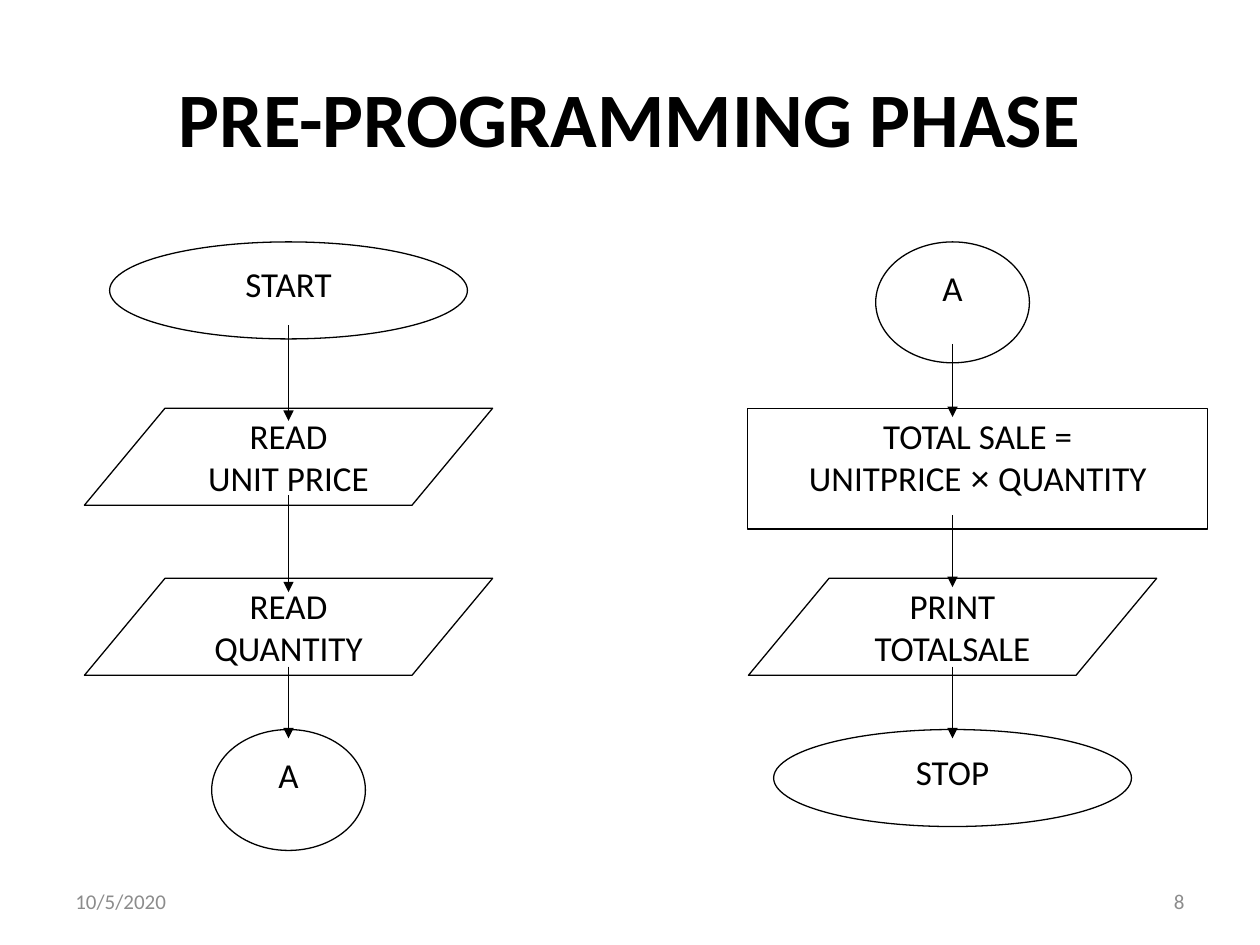
from dataclasses import dataclass

from lxml import etree
from pptx import Presentation
from pptx.dml.color import RGBColor
from pptx.enum.shapes import MSO_CONNECTOR, MSO_SHAPE
from pptx.enum.text import MSO_ANCHOR, PP_ALIGN
from pptx.oxml.ns import qn
from pptx.util import Inches, Pt

ELLIPSE = MSO_SHAPE.OVAL
SLANTED = MSO_SHAPE.PARALLELOGRAM
RECT = MSO_SHAPE.RECTANGLE
STRAIGHT = MSO_CONNECTOR.STRAIGHT
TOP, MIDDLE = MSO_ANCHOR.TOP, MSO_ANCHOR.MIDDLE
LEFT, CENTER, RIGHT = PP_ALIGN.LEFT, PP_ALIGN.CENTER, PP_ALIGN.RIGHT


@dataclass(frozen=True)
class Theme:
    ink: RGBColor = RGBColor(0x00, 0x00, 0x00)
    paper: RGBColor = RGBColor(0xFF, 0xFF, 0xFF)
    muted: RGBColor = RGBColor(0x8C, 0x8C, 0x8C)
    font: str = "Calibri"
    symbol_font: str = "Arial"
    title: float = 44
    label: float = 20
    footer: float = 12
    line: float = 0.75


@dataclass(frozen=True)
class Kind:
    """Outline of a flowchart symbol, with its text area as shares of it."""
    preset: int
    width: float
    height: float
    text_w: float = 1.0
    text_h: float = 1.0
    shift: float = 0.0


@dataclass(frozen=True)
class Node:
    kind: Kind
    col: int
    row: int
    lines: tuple[str, ...]


@dataclass(frozen=True)
class Arrow:
    col: int
    start: float
    end: float


THEME = Theme()
WIDTH, HEIGHT = 10, 7.5
MARGIN = 0.05 * WIDTH

# Flowchart grid: column centres and row tops
COLS = (2.29, 7.56)
ROWS = (1.92, 3.24, 4.59, 5.79)
SLANT = 0.64

TERMINAL = Kind(ELLIPSE, 2.84, 0.77, 0.7, 0.7)
INPUT_OUTPUT = Kind(SLANTED, 3.24, 0.77, 0.61)
CONNECTOR = Kind(ELLIPSE, 1.22, 0.96, 0.7, 0.7)
PROCESS = Kind(RECT, 3.65, 0.96, shift=0.2)

NODES = (
    Node(TERMINAL, 0, 0, ("START",)),
    Node(INPUT_OUTPUT, 0, 1, ("READ", "UNIT PRICE")),
    Node(INPUT_OUTPUT, 0, 2, ("READ", "QUANTITY")),
    Node(CONNECTOR, 0, 3, ("A",)),
    Node(CONNECTOR, 1, 0, ("A",)),
    Node(PROCESS, 1, 1, ("TOTAL SALE =", "UNITPRICE × QUANTITY")),
    Node(INPUT_OUTPUT, 1, 2, ("PRINT", "TOTALSALE")),
    Node(TERMINAL, 1, 3, ("STOP",)),
)
ARROWS = (
    Arrow(0, 2.58, 3.34), Arrow(0, 3.93, 4.70), Arrow(0, 5.29, 5.86),
    Arrow(1, 2.73, 3.31), Arrow(1, 4.09, 4.66), Arrow(1, 5.29, 5.86),
)


def write(tf, lines: tuple[str, ...], size: float, color: RGBColor,
          align: int = CENTER, anchor: int = TOP, bold: bool = False,
          side: float = 0.1) -> None:
    tf.word_wrap = True
    tf.vertical_anchor = anchor
    tf.margin_left = tf.margin_right = Inches(side)
    tf.margin_top = tf.margin_bottom = Inches(0.05)
    for i, line in enumerate(lines):
        p = tf.paragraphs[0] if i == 0 else tf.add_paragraph()
        p.alignment = align
        before, sign, after = line.partition("×")
        for text in filter(None, (before, sign, after)):
            r = p.add_run()
            r.text = text
            r.font.name = THEME.symbol_font if text == "×" else THEME.font
            r.font.size = Pt(size)
            r.font.bold = bold
            r.font.color.rgb = color


def add_text(slide, box: tuple[float, ...], lines: tuple[str, ...],
             size: float, color: RGBColor, **style) -> None:
    sp = slide.shapes.add_textbox(*map(Inches, box))
    write(sp.text_frame, lines, size, color, **style)


def add_node(slide, node: Node) -> None:
    k = node.kind
    cx, top = COLS[node.col] + k.shift, ROWS[node.row]
    box = (cx - k.width / 2, top, k.width, k.height)
    sp = slide.shapes.add_shape(k.preset, *map(Inches, box))
    sp.shadow.inherit = False
    sp.fill.solid()
    sp.fill.fore_color.rgb = THEME.paper
    sp.line.color.rgb = THEME.ink
    sp.line.width = Pt(THEME.line)
    if k.preset == SLANTED:
        sp.adjustments[0] = SLANT / k.height
    if k.preset == RECT:
        write(sp.text_frame, node.lines, THEME.label, THEME.ink, side=0.02)
        return
    w, h = k.width * k.text_w, k.height * k.text_h
    area = (cx - w / 2, top + (k.height - h) / 2, w, h)
    add_text(slide, area, node.lines, THEME.label, THEME.ink, side=0.02)


def add_arrow(slide, arrow: Arrow) -> None:
    x = Inches(COLS[arrow.col])
    line = slide.shapes.add_connector(
        STRAIGHT, x, Inches(arrow.start), x, Inches(arrow.end))
    line.line.color.rgb = THEME.ink
    line.line.width = Pt(THEME.line)
    etree.SubElement(line.line._get_or_add_ln(), qn("a:tailEnd"), type="triangle")
    etree.SubElement(line._element.spPr, qn("a:effectLst"))


def main() -> None:
    prs = Presentation()
    prs.slide_width, prs.slide_height = Inches(WIDTH), Inches(HEIGHT)
    slide = prs.slides.add_slide(prs.slide_layouts[6])

    # Title
    add_text(slide, (MARGIN, 0.04 * HEIGHT, WIDTH - 2 * MARGIN, 1.25),
             ("PRE-PROGRAMMING PHASE",), THEME.title, THEME.ink,
             anchor=MIDDLE, bold=True)

    # Flowchart, one column after the other
    for col in range(len(COLS)):
        for node in (n for n in NODES if n.col == col):
            add_node(slide, node)
        for arrow in (a for a in ARROWS if a.col == col):
            add_arrow(slide, arrow)

    # Footer: date and slide number
    foot_w = 2.33
    for x, text, align in ((MARGIN, "10/5/2020", LEFT),
                           (WIDTH - MARGIN - foot_w, "8", RIGHT)):
        add_text(slide, (x, 6.95, foot_w, 0.4), (text,), THEME.footer,
                 THEME.muted, align=align, anchor=MIDDLE)

    prs.save("out.pptx")


if __name__ == "__main__":
    main()
